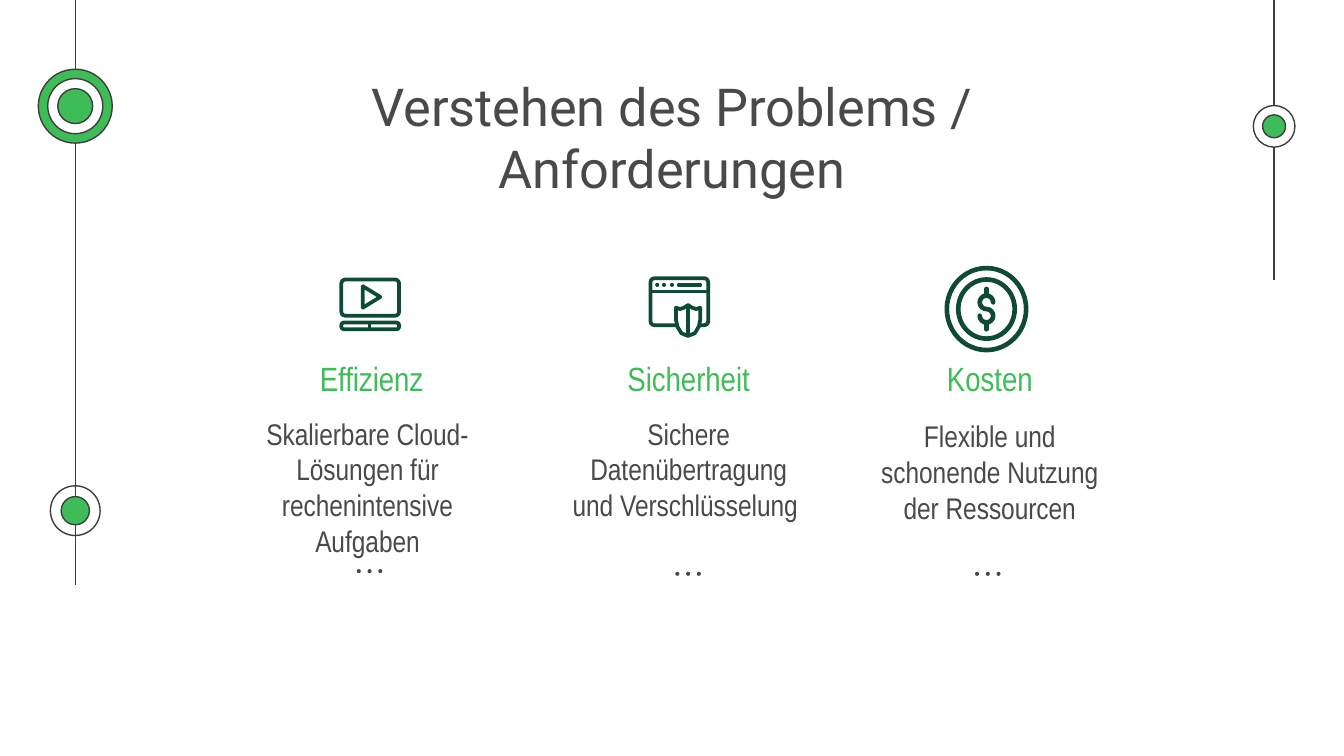
from math import cos, radians, sin

from lxml.etree import SubElement
from pptx import Presentation
from pptx.dml.color import RGBColor
from pptx.enum.shapes import MSO_CONNECTOR, MSO_SHAPE
from pptx.enum.text import MSO_ANCHOR, PP_ALIGN
from pptx.oxml.ns import qn
from pptx.util import Inches, Pt

GREEN = RGBColor(0x3D, 0xBC, 0x58)
DARK_GREEN = RGBColor(0x0F, 0x4A, 0x36)
GREY = RGBColor(0x49, 0x49, 0x49)
LINE_GREY = RGBColor(0x3D, 0x3D, 0x3D)
WHITE = RGBColor(0xFF, 0xFF, 0xFF)

TITLE = "Verstehen des Problems / Anforderungen"
COLUMN_WIDTH = 1.93
# heading, heading left, body, body left, body top, centre of dots (x, y)
COLUMNS = [
    ("Effizienz", 1.8, "Skalierbare Cloud-Lösungen für rechenintensive Aufgaben",
     1.77, 2.99, (2.75, 4.25)),
    ("Sicherheit", 4.16, "Sichere Datenübertragung und Verschlüsselung ",
     4.16, 2.99, (5.12, 4.27)),
    ("Kosten", 6.4, "Flexible und schonende Nutzung der Ressourcen",
     6.4, 3.01, (7.35, 4.27)),
]
DOT_GAP = 0.08
DOT_SIZE = 0.03

# x, bottom end
RAILS = [(0.56, 4.35), (9.48, 2.08)]
# centre x, centre y, rings from outside in as (diameter, fill)
NODES = [
    (0.56, 3.8, [(0.37, None), (0.21, GREEN)]),
    (9.48, 0.94, [(0.31, WHITE), (0.17, GREEN)]),
    (0.56, 0.79, [(0.55, GREEN), (0.41, WHITE), (0.26, GREEN)]),
]

ICON_STROKE = 2
COIN_STROKE = 2.5

deck = Presentation()
deck.slide_width = Inches(10)
deck.slide_height = deck.slide_width * 9 // 16
page = deck.slides.add_slide(deck.slide_layouts[6])


def paint(shape, fill=None, line=None, weight=0.75):
    shape.shadow.inherit = False
    if fill is None:
        shape.fill.background()
    else:
        shape.fill.solid()
        shape.fill.fore_color.rgb = fill
    if line is None:
        shape.line.fill.background()
    else:
        shape.line.color.rgb = line
        shape.line.width = Pt(weight)


def add_circle(x, y, width, height=None, **style):
    """Draw an ellipse centred on (x, y)."""
    height = height or width
    shape = page.shapes.add_shape(
        MSO_SHAPE.OVAL, Inches(x - width / 2), Inches(y - height / 2),
        Inches(width), Inches(height))
    paint(shape, **style)


def add_frame(left, top, width, height, radius=0.03):
    """Draw a rounded icon outline."""
    shape = page.shapes.add_shape(
        MSO_SHAPE.ROUNDED_RECTANGLE, Inches(left), Inches(top),
        Inches(width), Inches(height))
    shape.adjustments[0] = radius / min(width, height)
    paint(shape, line=DARK_GREEN, weight=ICON_STROKE)


def round_ends(shape):
    line = shape.line._get_or_add_ln()
    line.set("cap", "rnd")
    SubElement(line, qn("a:round"))


def add_line(start, end, color, weight, rounded=False):
    line = page.shapes.add_connector(
        MSO_CONNECTOR.STRAIGHT, *[Inches(value) for value in (*start, *end)])
    line.line.color.rgb = color
    line.line.width = Pt(weight)
    SubElement(line._element.spPr, qn("a:effectLst"))
    if rounded:
        round_ends(line)


def add_outline(points, close, weight, fill=None):
    points = [(Inches(x), Inches(y)) for x, y in points]
    builder = page.shapes.build_freeform(*points[0], scale=1.0)
    builder.add_line_segments(points[1:], close=close)
    shape = builder.convert_to_shape()
    paint(shape, fill, DARK_GREEN, weight)
    round_ends(shape)


def arc(x, y, radius_x, radius_y, first, last, steps=12):
    """Points on an ellipse, angles in degrees clockwise from the right."""
    angles = [radians(first + (last - first) * step / steps)
              for step in range(steps + 1)]
    return [(x + radius_x * cos(a), y + radius_y * sin(a)) for a in angles]


def add_text(text, left, top, width, height, size, font, color):
    box = page.shapes.add_textbox(
        Inches(left), Inches(top), Inches(width), Inches(height))
    frame = box.text_frame
    frame.word_wrap = True
    frame.vertical_anchor = MSO_ANCHOR.TOP
    frame.margin_left = frame.margin_right = Inches(0.1)
    frame.margin_top = frame.margin_bottom = Inches(0.1)
    para = frame.paragraphs[0]
    para.alignment = PP_ALIGN.CENTER
    span = para.add_run()
    span.text = text
    span.font.size = Pt(size)
    span.font.name = font
    span.font.color.rgb = color


def add_video_icon():
    add_frame(2.54, 2.08, 0.43, 0.27)
    add_frame(2.54, 2.4, 0.43, 0.05, 0.02)
    add_line((2.75, 2.4), (2.75, 2.45), DARK_GREEN, ICON_STROKE)
    add_outline([(2.7, 2.13), (2.83, 2.21), (2.7, 2.29)], True, ICON_STROKE)


def add_shield_icon():
    add_frame(4.84, 2.07, 0.43, 0.35)
    add_line((4.84, 2.17), (5.27, 2.17), DARK_GREEN, ICON_STROKE)
    for x in (4.89, 4.94, 5.0):
        add_circle(x, 2.12, 0.03, fill=DARK_GREEN)
    add_line((5.05, 2.12), (5.21, 2.12), DARK_GREEN, ICON_STROKE, True)
    middle = 5.12
    half = [(0.03, 2.29), (0.06, 2.3), (0.09, 2.29), (0.09, 2.38),
            (0.08, 2.43), (0.05, 2.48)]
    right = [(middle + dx, y) for dx, y in half]
    left = [(middle - dx, y) for dx, y in reversed(half)]
    add_outline([(middle, 2.27), *right, (middle, 2.5), *left],
                True, ICON_STROKE, WHITE)
    add_line((middle, 2.27), (middle, 2.5), DARK_GREEN, ICON_STROKE)


def add_coin_icon():
    x, y = 7.34, 2.3
    add_circle(x, y, 0.59, 0.61, line=DARK_GREEN, weight=COIN_STROKE)
    add_circle(x, y, 0.42, 0.44, line=DARK_GREEN, weight=COIN_STROKE)
    curve = (arc(x, y - 0.05, 0.05, 0.05, 0, -270)
             + arc(x, y + 0.05, 0.05, 0.05, -90, 180))
    add_outline(curve, False, COIN_STROKE)
    for side in (-1, 1):
        add_line((x, y + side * 0.1), (x, y + side * 0.15),
                 DARK_GREEN, COIN_STROKE, True)


for x, bottom in RAILS:
    add_line((x, 0), (x, bottom), LINE_GREY, 0.75)
for x, y, rings in NODES:
    for diameter, fill in rings:
        add_circle(x, y, diameter, fill=fill, line=LINE_GREY)

add_text(TITLE, 1.68, 0.45, 6.64, 0.65, 28, "Roboto", GREY)
for heading, heading_left, body, body_left, body_top, (dots_x, dots_y) in COLUMNS:
    add_text(heading, heading_left, 2.56, COLUMN_WIDTH, 0.36,
             18, "Arial Narrow", GREEN)
    add_text(body, body_left, body_top, COLUMN_WIDTH, 1.18,
             16, "Arial Narrow", GREY)
    for step in (-1, 0, 1):
        add_circle(dots_x + step * DOT_GAP, dots_y, DOT_SIZE, fill=GREY)

add_video_icon()
add_shield_icon()
add_coin_icon()

deck.save("out.pptx")
